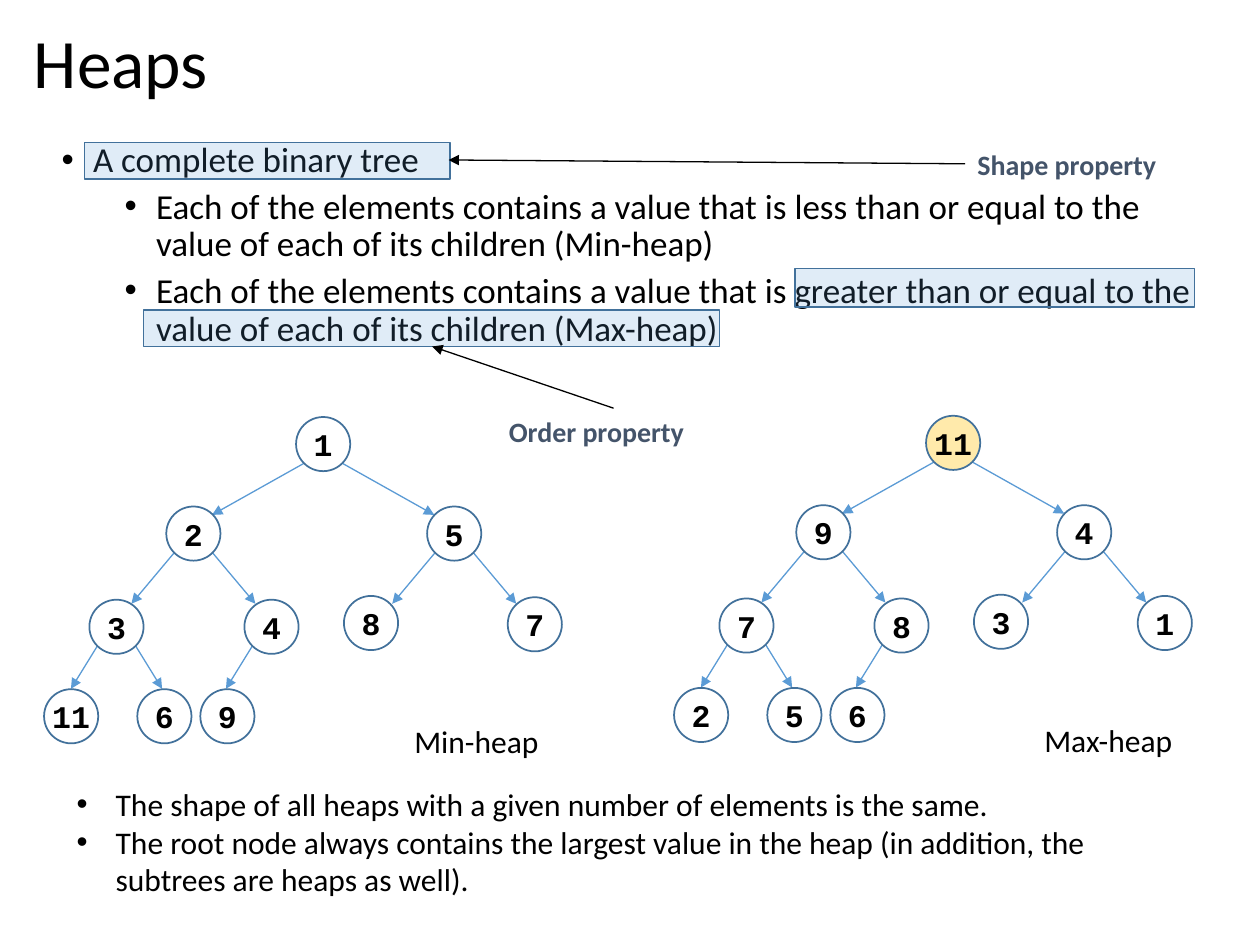
from dataclasses import dataclass

from lxml.etree import SubElement
from pptx import Presentation
from pptx.dml.color import RGBColor
from pptx.enum.shapes import MSO_CONNECTOR as Link, MSO_SHAPE as Preset
from pptx.enum.text import MSO_ANCHOR as Anchor, MSO_AUTO_SIZE as AutoSize, PP_ALIGN as Align
from pptx.oxml.ns import qn
from pptx.util import Inches, Pt


@dataclass(frozen=True)
class Theme:
    text_font: str = "Calibri"
    key_font: str = "Courier New"
    ink: str = "000000"
    note: str = "44546A"
    accent: str = "5B9BD5"
    outline: str = "42719B"
    root: str = "FFC000"
    title_size: float = 39.6
    body_size: float = 20
    small_size: float = 18
    note_size: float = 16


@dataclass(frozen=True)
class Bullet:
    text: str
    indent: float
    hang: float
    level: int = 0
    before: float = 0


class HeapSlide:
    """Draws on a grid of 100 columns by 75 rows."""

    NODE = 4.3
    # Ellipse ports lie at 45 degrees
    PORT_LEFT, PORT_RIGHT, PORT_BOTTOM = 0.63, 3.67, 3.67
    # Columns and rows spanned by an edge, by depth of the parent
    REACH = ((7.3, 4.1), (3.4, 4.05), (2.1, 3.4))

    def __init__(self, deck, theme):
        self.theme = theme
        self.slide = deck.slides.add_slide(deck.slide_layouts[6])
        self.shapes = self.slide.shapes
        self.column = deck.slide_width / 100
        self.row = deck.slide_height / 75

    def place(self, col, row, cols, rows):
        return (round(col * self.column), round(row * self.row),
                round(cols * self.column), round(rows * self.row))

    def style_font(self, paragraph, size, color, bold=False, font=None):
        for run in paragraph.runs:
            run.font.name = font or self.theme.text_font
            run.font.size = Pt(size)
            run.font.bold = bold
            run.font.color.rgb = RGBColor.from_string(color)

    def text(self, box, words, size, color=None, bold=False, spacing=None, grow=True, parent=None):
        frame = (parent or self.shapes).add_textbox(*self.place(*box)).text_frame
        frame.word_wrap = True
        frame.auto_size = AutoSize.SHAPE_TO_FIT_TEXT if grow else AutoSize.NONE
        frame.text = words
        for paragraph in frame.paragraphs:
            self.style_font(paragraph, size, color or self.theme.ink, bold)
            if spacing:
                paragraph.line_spacing = spacing
        return frame

    def bullets(self, box, items, size, spacing=None, grow=True):
        words = "\n".join(item.text for item in items)
        frame = self.text(box, words, size, spacing=spacing, grow=grow)
        for paragraph, item in zip(frame.paragraphs, items):
            paragraph.level = item.level
            paragraph.space_before = Pt(item.before)
            props = paragraph._p.get_or_add_pPr()
            props.set("marL", str(Inches(item.indent)))
            props.set("indent", str(-Inches(item.hang)))
            color = SubElement(props, qn("a:buClr"))
            SubElement(color, qn("a:srgbClr"), val=self.theme.ink)
            SubElement(props, qn("a:buFont"), typeface="Arial")
            SubElement(props, qn("a:buChar"), char="•")

    def outlined(self, preset, box, fill=None, opacity=100, parent=None):
        shape = (parent or self.shapes).add_shape(preset, *self.place(*box))
        shape.shadow.inherit = False
        shape.line.color.rgb = RGBColor.from_string(self.theme.outline)
        shape.line.width = Pt(1)
        if fill:
            shape.fill.solid()
            shape.fill.fore_color.rgb = RGBColor.from_string(fill)
            tint = shape.element.spPr.find(qn("a:solidFill")).find(qn("a:srgbClr"))
            SubElement(tint, qn("a:alpha"), val=str(opacity * 1000))
        else:
            shape.fill.background()
        return shape

    def highlight(self, *box):
        self.outlined(Preset.RECTANGLE, box, self.theme.accent, 19)

    def arrow(self, start, end, color, parent=None):
        line = (parent or self.shapes).add_connector(
            Link.STRAIGHT, *self.place(*start, *end))
        line.line.color.rgb = RGBColor.from_string(color)
        line.line.width = Pt(0.75)
        props = line.element.spPr
        SubElement(props.find(qn("a:ln")), qn("a:tailEnd"), type="triangle")
        SubElement(props, qn("a:effectLst"))

    def node(self, key, col, row, fill, parent):
        circle = self.outlined(Preset.OVAL, (col, row, self.NODE, self.NODE), fill, 33, parent)
        frame = circle.text_frame
        frame.margin_left = frame.margin_right = frame.margin_top = frame.margin_bottom = 0
        frame.vertical_anchor = Anchor.MIDDLE
        frame.word_wrap = False
        frame.text = str(key)
        frame.paragraphs[0].alignment = Align.CENTER
        self.style_font(frame.paragraphs[0], self.theme.small_size, self.theme.ink,
                        True, self.theme.key_font)

    def heap(self, caption, keys, spots, shift, root_fill=None):
        group = self.shapes.add_group_shape().shapes
        spots = [(col + shift[0], row + shift[1]) for col, row in spots]
        # Edges: the parent of entry i is entry (i - 1) // 2
        for child in range(1, len(keys)):
            parent = (child - 1) // 2
            col, row = spots[parent]
            reach, drop = self.REACH[(parent + 1).bit_length() - 1]
            is_left = child % 2 == 1
            x = col + (self.PORT_LEFT if is_left else self.PORT_RIGHT)
            y = row + self.PORT_BOTTOM
            tip = (x - reach if is_left else x + reach, y + drop)
            self.arrow((x, y), tip, self.theme.accent, group)
        # Nodes
        for i, (key, spot) in enumerate(zip(keys, spots)):
            self.node(key, *spot, root_fill if i == 0 else None, group)
        self.text((31.9 + shift[0], 56.8 + shift[1], 14.6, 4), caption,
                  self.theme.small_size, parent=group)


def main():
    theme = Theme()
    deck = Presentation()
    deck.slide_width, deck.slide_height = Inches(10), Inches(7.5)
    page = HeapSlide(deck, theme)

    # Title and definition
    page.text((1.7, 1.8, 96.2, 7.4), "Heaps", theme.title_size, spacing=0.9, grow=False)
    rule = "Each of the elements contains a value that is {} than or equal to the value of each of its children ({}-heap)"
    page.bullets((3.9, 10.8, 94, 19.4), [
        Bullet("A complete binary tree", 0.25, 0.25),
        Bullet(rule.format("less", "Min"), 0.75, 0.25, 1, 5),
        Bullet(rule.format("greater", "Max"), 0.75, 0.25, 1, 5),
    ], theme.body_size, spacing=0.9, grow=False)

    # Both heaps share one layout, listed level by level
    spots = [(23.5, 33.1),
             (13.2, 40.2), (33.9, 40.2),
             (7.1, 47.6), (19.4, 47.6), (27.3, 47.3), (40.3, 47.4),
             (3.5, 54.7), (10.9, 54.7), (15.9, 54.7)]
    page.heap("Max-heap", [11, 9, 4, 7, 8, 3, 1, 2, 5, 6], spots, (50, -0.1), theme.root)
    page.heap("Min-heap", [1, 2, 5, 3, 4, 8, 7, 11, 6, 9], spots, (0, 0))

    # Shape property
    page.highlight(6.7, 11.3, 29, 2.9)
    page.text((76.6, 11.2, 21.4, 3.7), "Shape property", theme.note_size, theme.note, bold=True)
    page.arrow((76.6, 13), (35.6, 12.7), theme.ink)

    # Order property
    page.highlight(63.1, 21.3, 31.7, 3.1)
    page.highlight(11.4, 24.6, 45.7, 2.9)
    page.text((39.4, 32.4, 18.5, 3.7), "Order property", theme.note_size, theme.note, bold=True)
    page.arrow((48.7, 32.4), (34.3, 27.5), theme.ink)

    # Conclusions
    page.bullets((5.1, 61.8, 89.6, 10.1), [
        Bullet("The shape of all heaps with a given number of elements is the same.", 0.31, 0.31),
        Bullet("The root node always contains the largest value in the heap "
               "(in addition, the subtrees are heaps as well).", 0.31, 0.31),
    ], theme.small_size)

    deck.save("out.pptx")


if __name__ == "__main__":
    main()
